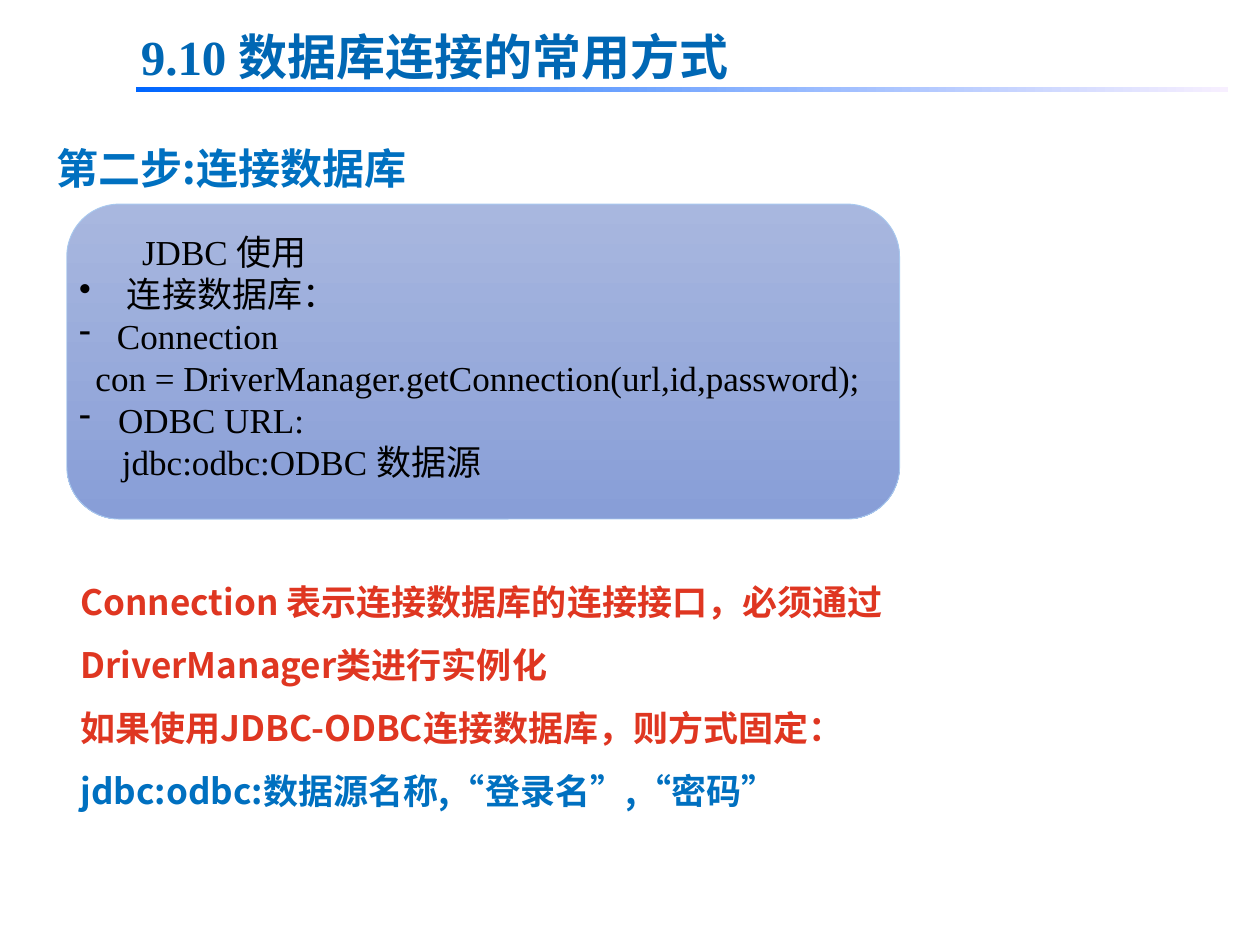
from dataclasses import dataclass

from lxml.etree import SubElement
from pptx import Presentation
from pptx.dml.color import RGBColor
from pptx.enum.shapes import MSO_SHAPE as Shape
from pptx.enum.text import MSO_ANCHOR as Anchor, PP_ALIGN as Align
from pptx.oxml.ns import qn
from pptx.util import Inches, Pt

SANS = "Noto Sans CJK SC"
SERIF = "Times New Roman"

BLACK = RGBColor(0x00, 0x00, 0x00)
TITLE_BLUE = RGBColor(0x00, 0x67, 0xB4)
STEP_BLUE = RGBColor(0x00, 0x70, 0xC0)
RED = RGBColor(0xDF, 0x36, 0x21)
PANEL_TOP = RGBColor(0xA8, 0xB7, 0xDF)
PANEL_BOTTOM = RGBColor(0x88, 0x9E, 0xD7)
PANEL_EDGE = RGBColor(0xA8, 0xC9, 0xEF)
RULE_LEFT = RGBColor(0x00, 0x66, 0xFF)
RULE_RIGHT = RGBColor(0xF7, 0xEF, 0xFF)


@dataclass(frozen=True)
class Box:
    left: float
    top: float
    width: float
    height: float

    def lengths(self):
        return [Inches(v) for v in (self.left, self.top, self.width, self.height)]


@dataclass(frozen=True)
class Style:
    font: str
    size: float
    bold: bool = True
    spacing: float = 1.0
    align: Align = Align.LEFT
    anchor: Anchor = Anchor.TOP


@dataclass(frozen=True)
class Para:
    text: str
    color: RGBColor = BLACK
    indent: float = 0
    bullet: str = ""


def add_gradient(s, kind: Shape, box: Box, start: RGBColor, end: RGBColor, angle: float):
    sp = s.shapes.add_shape(kind, *box.lengths())
    sp.shadow.inherit = False
    sp.fill.gradient()
    sp.fill.gradient_angle = angle
    for stop, color in zip(sp.fill.gradient_stops, (start, end)):
        stop.color.rgb = color
    sp.line.fill.background()
    return sp


def set_indent(p, para: Para) -> None:
    """Indent the paragraph, hanging its bullet at the left edge."""
    pPr = p._p.get_or_add_pPr()
    indent = Inches(para.indent)
    pPr.set("marL", str(indent))
    pPr.set("indent", str(-indent if para.bullet else 0))
    if para.bullet:
        SubElement(pPr, qn("a:buChar")).set("char", para.bullet)


def add_text(s, box: Box, style: Style, paras: list[Para]) -> None:
    tf = s.shapes.add_textbox(*box.lengths()).text_frame
    tf.word_wrap = True
    tf.vertical_anchor = style.anchor
    for i, para in enumerate(paras):
        p = tf.add_paragraph() if i else tf.paragraphs[0]
        p.text = para.text
        p.alignment = style.align
        p.line_spacing = style.spacing
        set_indent(p, para)
        r = p.runs[0]
        r.font.name = style.font
        r.font.size = Pt(style.size)
        r.font.bold = style.bold
        r.font.color.rgb = para.color
        SubElement(r.font._element, qn("a:ea")).set("typeface", SANS)


def main() -> None:
    prs = Presentation()
    prs.slide_width, prs.slide_height = Inches(10), Inches(7.5)
    s = prs.slides.add_slide(prs.slide_layouts[6])

    panel = add_gradient(s, Shape.ROUNDED_RECTANGLE, Box(0.53, 1.62, 6.61, 2.5),
                         PANEL_TOP, PANEL_BOTTOM, 270)
    panel.line.color.rgb = PANEL_EDGE
    panel.line.width = Pt(0.5)
    add_gradient(s, Shape.RECTANGLE, Box(1.08, 0.69, 8.67, 0.04), RULE_LEFT, RULE_RIGHT, 0)

    add_text(s, Box(1.02, 0.16, 8.73, 0.57), Style(SERIF, 28, align=Align.JUSTIFY),
             [Para("9.10 数据库连接的常用方式", TITLE_BLUE)])
    add_text(s, Box(0.35, 1.04, 8.5, 0.58), Style(SANS, 24, anchor=Anchor.MIDDLE),
             [Para("第二步:连接数据库", STEP_BLUE)])
    add_text(s, Box(0.54, 4.39, 7.44, 2.12), Style(SANS, 20, spacing=1.5), [
        Para("Connection 表示连接数据库的连接接口，必须通过DriverManager类进行实例化", RED),
        Para("如果使用JDBC-ODBC连接数据库，则方式固定：", RED),
        Para("jdbc:odbc:数据源名称,“登录名”,“密码”", STEP_BLUE),
    ])
    add_text(s, Box(0.53, 1.78, 6.5, 2.12), Style(SERIF, 20, bold=False), [
        Para("JDBC 使用", indent=0.5),
        Para("连接数据库：", indent=0.38, bullet="•"),
        Para("Connection", indent=0.3, bullet="-"),
        Para("con = DriverManager.getConnection(url,id,password);", indent=0.13),
        Para("ODBC URL:", indent=0.31, bullet="-"),
        Para("jdbc:odbc:ODBC 数据源", indent=0.34),
    ])

    prs.save("out.pptx")


if __name__ == "__main__":
    main()
